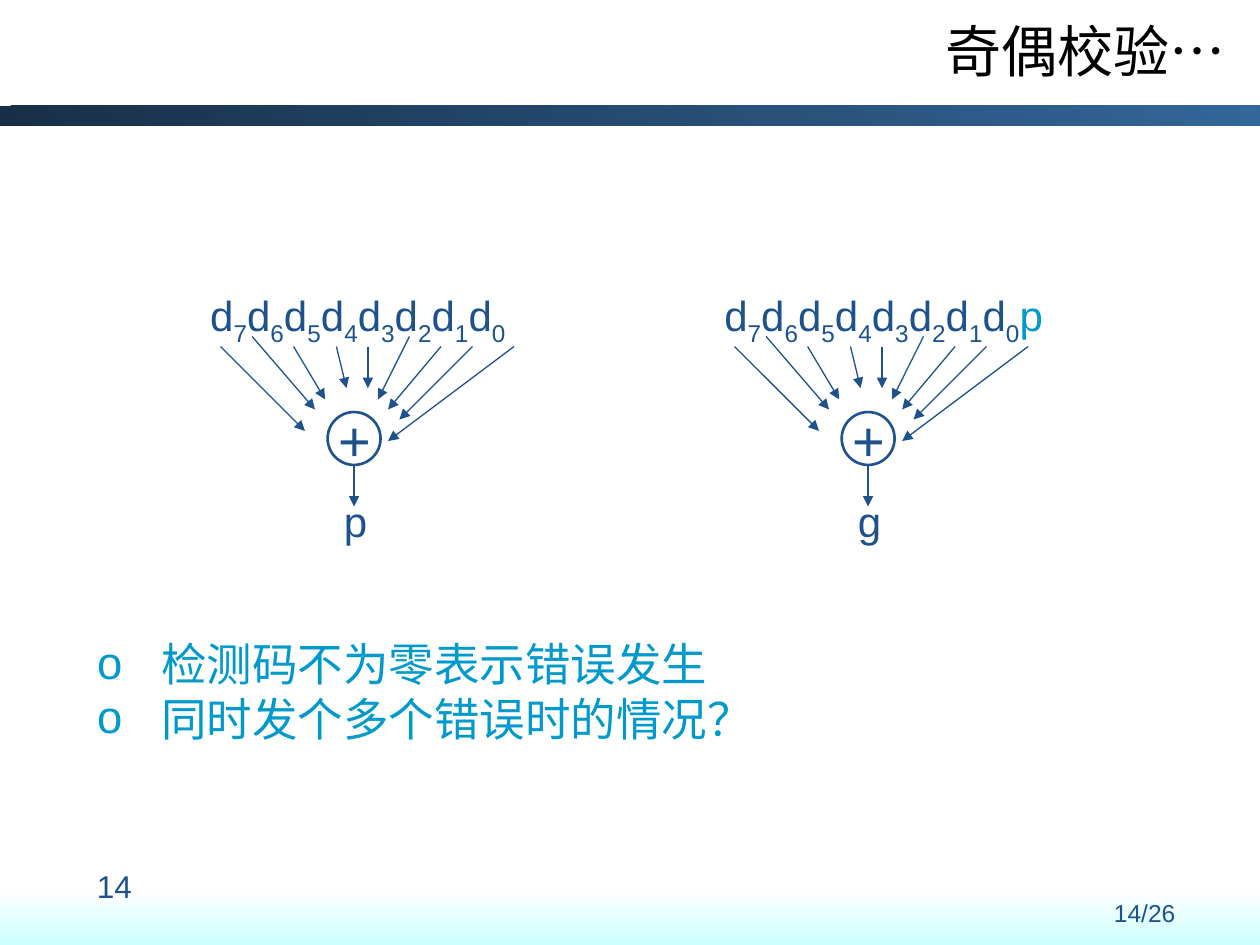
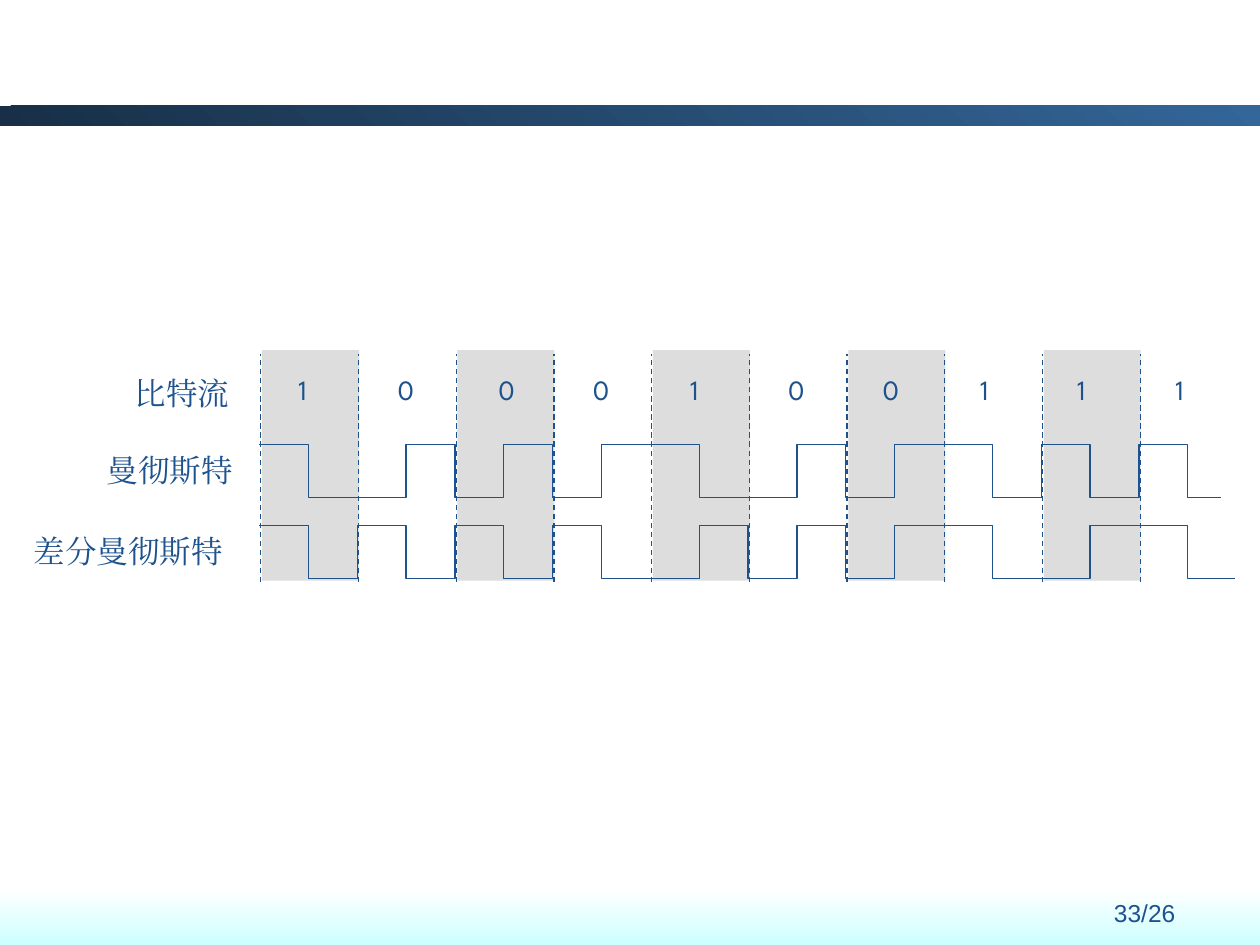
"""Builds two slides on parity checking and Manchester line codes."""
from lxml import etree
from pptx import Presentation
from pptx.dml.color import RGBColor
from pptx.enum.dml import MSO_LINE
from pptx.enum.shapes import MSO_CONNECTOR, MSO_SHAPE
from pptx.enum.text import MSO_ANCHOR, PP_ALIGN
from pptx.oxml.ns import qn
from pptx.util import Inches, Pt

STRAIGHT = MSO_CONNECTOR.STRAIGHT
RECTANGLE, OVAL = MSO_SHAPE.RECTANGLE, MSO_SHAPE.OVAL
LEFT, CENTER, RIGHT = PP_ALIGN.LEFT, PP_ALIGN.CENTER, PP_ALIGN.RIGHT
DASH = MSO_LINE.DASH
MIDDLE = MSO_ANCHOR.MIDDLE

BLUE = RGBColor(0x1D, 0x52, 0x8D)
CYAN = RGBColor(0x00, 0x99, 0xCC)
BLACK = RGBColor(0x00, 0x00, 0x00)
GRAY = RGBColor(0xDD, 0xDD, 0xDD)
NAVY = RGBColor(0x18, 0x2F, 0x47)
STEEL = RGBColor(0x33, 0x66, 0x99)
WHITE = RGBColor(0xFF, 0xFF, 0xFF)
ICE = RGBColor(0xCC, 0xFF, 0xFF)
CJK = "Noto Sans CJK SC"


def add_text(shapes, spans, left, top, width, height, size, name="Arial", align=LEFT, wrap=False):
    """Adds a text box of (text, colour, subscript) spans."""
    box = shapes.add_textbox(Inches(left), Inches(top), Inches(width), Inches(height))
    box.text_frame.word_wrap = wrap
    para = box.text_frame.paragraphs[0]
    para.alignment = align
    for text, color, subscript in spans:
        span = para.add_run()
        span.text = text
        style(span, size, color, name, name)
        if subscript:
            span.font._element.set("baseline", "-25000")


def style(span, size, color, name, east):
    """Sets size, colour and the Latin and East Asian fonts of a run."""
    span.font.size = Pt(size)
    span.font.color.rgb = color
    span.font.name = name
    etree.SubElement(span.font._element, qn("a:ea")).set("typeface", east)


deck = Presentation()
deck.slide_width, deck.slide_height = Inches(10), Inches(7.5)
parity_page = deck.slides.add_slide(deck.slide_layouts[1])
coding_page = deck.slides.add_slide(deck.slide_layouts[6])

for page, number in ((parity_page, "14/26"), (coding_page, "33/26")):
    for top, height, colors, angle in ((0.84, 0.16, (NAVY, STEEL), 45), (7.06, 0.44, (WHITE, ICE), 270)):
        band = page.shapes.add_shape(RECTANGLE, 0, Inches(top), deck.slide_width, Inches(height))
        band.shadow.inherit = False
        band.line.fill.background()
        band.fill.gradient()
        band.fill.gradient_angle = angle
        for stop, color, position in zip(band.fill.gradient_stops, colors, (0, 1)):
            stop.color.rgb = color
            stop.position = position
    add_text(page.shapes, [(number, BLUE, False)], 8.41, 7.08, 1.35, 0.35, 14, align=CENTER, wrap=True)

title = parity_page.shapes.title
title.left, title.top, title.width, title.height = Inches(0.25), Inches(0.05), Inches(9.58), Inches(0.7)
title.text_frame.vertical_anchor = MIDDLE
title_para = title.text_frame.paragraphs[0]
title_para.alignment = RIGHT
for text, name in (("奇偶校验", CJK), ("…", "Arial")):
    span = title_para.add_run()
    span.text = text
    style(span, 32, BLACK, name, CJK)

body = parity_page.placeholders[1]
body.left, body.top, body.width, body.height = Inches(0.67), Inches(5), Inches(9.08), Inches(1.83)
body.text_frame.text = "检测码不为零表示错误发生\n同时发个多个错误时的情况？"
for para in body.text_frame.paragraphs:
    para.space_before = Pt(0)
    properties = para._p.get_or_add_pPr()
    properties.set("marL", str(Inches(0.51)))
    properties.set("indent", str(-Inches(0.51)))
    bullet_color = etree.SubElement(properties, qn("a:buClr"))
    etree.SubElement(bullet_color, qn("a:srgbClr")).set("val", str(CYAN))
    etree.SubElement(properties, qn("a:buFont")).set("typeface", "Arial")
    etree.SubElement(properties, qn("a:buChar")).set("char", "o")
    style(para.runs[0], 26, CYAN, "DejaVu Sans", "DejaVu Sans")

add_text(parity_page.shapes, [("14", BLUE, False)], 0.67, 6.83, 2.17, 0.52, 18, wrap=True)

arrows = [
    (4.08, 2.75, 3.08, 3.5), (3.75, 2.75, 3.17, 3.33), (3.5, 2.75, 3.08, 3.25),
    (3.25, 2.67, 3, 3.17), (2.92, 2.75, 2.92, 3.08), (2.67, 2.75, 2.75, 3.08),
    (2.33, 2.75, 2.58, 3.17), (2, 2.67, 2.5, 3.25), (1.75, 2.75, 2.42, 3.42),
    (2.81, 3.69, 2.81, 4.02),
]
data_bits = [span for i in range(7, -1, -1) for span in (("d", BLUE, False), (str(i), BLUE, True))]
parity_bit = [("p", CYAN, False)]
for shift, bits, width, result in ((0, data_bits, 2.54, "p"), (4.08, data_bits + parity_bit, 2.73, "g")):
    shapes = parity_page.shapes.add_group_shape().shapes
    add_text(shapes, bits, 1.57 + shift, 2.25, width, 0.56, 24)
    add_text(shapes, [("+", BLUE, False)], 2.59 + shift, 3.17, 0.46, 0.64, 32)
    adder = shapes.add_shape(OVAL, Inches(2.6 + shift), Inches(3.27), Inches(0.42), Inches(0.42))
    adder.shadow.inherit = False
    adder.fill.background()
    adder.line.color.rgb = BLUE
    adder.line.width = Pt(1.5)
    for x1, y1, x2, y2 in arrows:
        arrow = shapes.add_connector(
            STRAIGHT, Inches(x1 + shift), Inches(y1), Inches(x2 + shift), Inches(y2))
        arrow.line.color.rgb = BLUE
        arrow.line.width = Pt(0.75)
        etree.SubElement(arrow.line._get_or_add_ln(), qn("a:tailEnd")).set("type", "triangle")
        etree.SubElement(arrow._element.spPr, qn("a:effectLst"))
    add_text(shapes, [(result, BLUE, False)], 2.63 + shift, 3.88, 0.38, 0.5, 24)

stream = "1000100111"
cell = 6.98 / 9
edges = [2.07 + cell * i for i in range(len(stream))]

for edge in edges[::2]:
    stripe = coding_page.shapes.add_shape(
        RECTANGLE, Inches(edge + 0.01), Inches(2.78), Inches(0.77), Inches(1.83))
    stripe.shadow.inherit = False
    stripe.fill.solid()
    stripe.fill.fore_color.rgb = GRAY
    stripe.line.fill.background()

for edge in edges:
    divider = coding_page.shapes.add_connector(
        STRAIGHT, Inches(edge), Inches(4.62), Inches(edge), Inches(2.81))
    divider.line.color.rgb = BLUE
    divider.line.width = Pt(0.75)
    divider.line.dash_style = DASH
    etree.SubElement(divider._element.spPr, qn("a:effectLst"))

bit_lefts = (2.27, 3.06, 3.86, 4.61, 5.38, 6.16, 6.91, 7.68, 8.45, 9.23)
for bit, left in zip(stream, bit_lefts):
    add_text(coding_page.shapes, [(bit, BLUE, False)], left, 2.91, 0.33, 0.36, 16, "League Spartan")

for text, left, top, width, align in (
    ("比特流", 0.97, 2.92, 0.95, LEFT),
    ("曼彻斯特", 0.75, 3.53, 1.2, LEFT),
    ("差分曼彻斯特", 0.17, 4.17, 1.7, CENTER),
):
    add_text(coding_page.shapes, [(text, BLUE, False)], left, top, width, 0.4, 18, "Times New Roman", align)

manchester = []
differential = []
level = True
for bit in stream:
    manchester += [bit == "1", bit == "0"]
    if bit == "0":
        level = not level
    differential += [level, not level]
    level = not level

for halves, top, end in ((manchester, 3.53, 9.69), (differential, 4.17, 9.8)):
    points = []
    for i, high in enumerate(halves):
        y = Inches(top if high else top + 0.42)
        start = 2.06 + cell / 2 * i
        stop = end if i == len(halves) - 1 else start + cell / 2
        points += [(Inches(start), y), (Inches(stop), y)]
    builder = coding_page.shapes.build_freeform(*points[0])
    builder.add_line_segments(points[1:], close=False)
    wave = builder.convert_to_shape()
    wave.shadow.inherit = False
    wave.fill.background()
    wave.line.color.rgb = BLUE
    wave.line.width = Pt(0.75)

deck.save("out.pptx")
